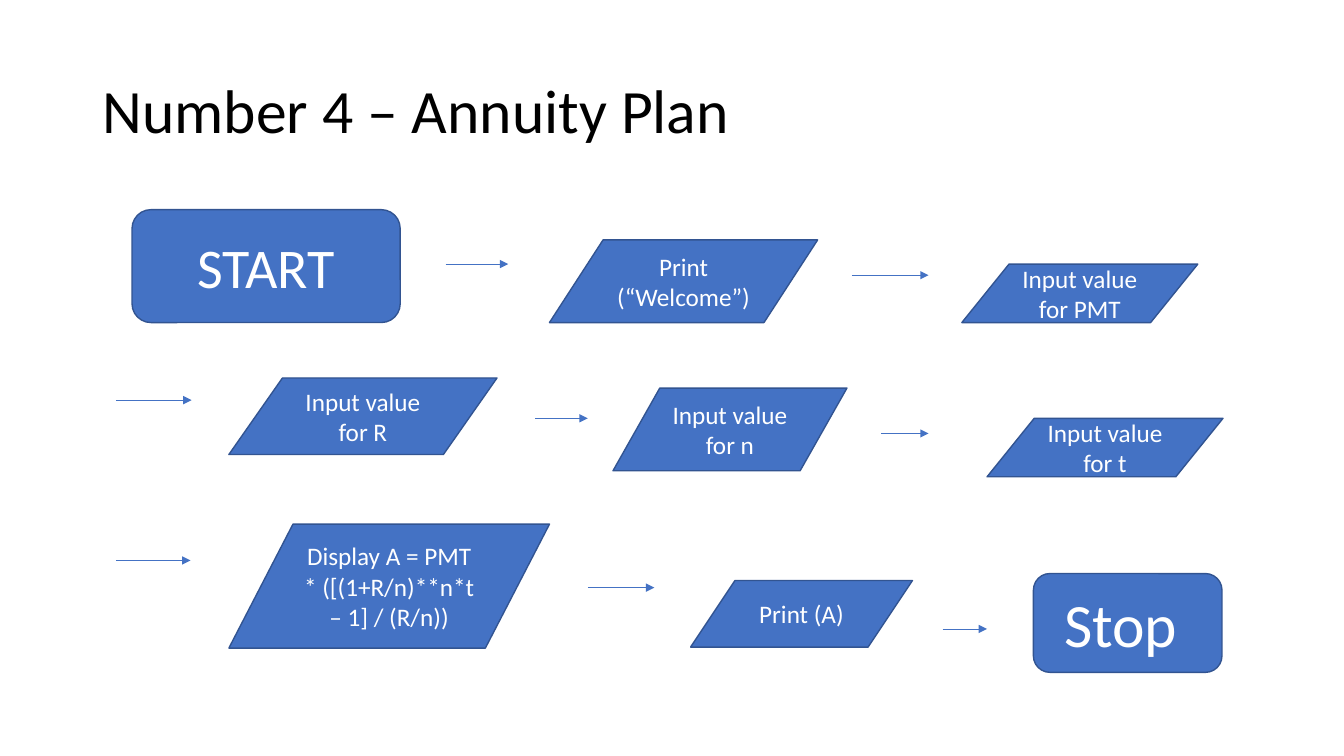
from lxml import etree
from pptx import Presentation
from pptx.dml.color import RGBColor
from pptx.enum.shapes import MSO_CONNECTOR, MSO_SHAPE
from pptx.enum.text import MSO_ANCHOR, PP_ALIGN
from pptx.oxml.ns import qn
from pptx.util import Inches, Pt

TERMINAL = MSO_SHAPE.FLOWCHART_ALTERNATE_PROCESS
INPUT_OUTPUT = MSO_SHAPE.FLOWCHART_DATA
STRAIGHT = MSO_CONNECTOR.STRAIGHT
MIDDLE = MSO_ANCHOR.MIDDLE
LEFT, CENTER = PP_ALIGN.LEFT, PP_ALIGN.CENTER

BLUE = RGBColor(0x44, 0x72, 0xC4)
DARK_BLUE = RGBColor(0x32, 0x54, 0x91)
WHITE = RGBColor(0xFF, 0xFF, 0xFF)
BLACK = RGBColor(0x00, 0x00, 0x00)

TITLE_BOX = (0.92, 0.4, 11.5, 1.45)
ROW_LEFT = 1.15

# Steps are (kind, x, y, width, height, text, size); arrows are (x, y, length).
ROWS = [
    (2.08, [
        (TERMINAL, 0.16, 0, 2.66, 1.12, "START", 40),
        (INPUT_OUTPUT, 4.3, 0.3, 2.66, 0.82, "Print (“Welcome”)", 18),
        (INPUT_OUTPUT, 8.39, 0.54, 2.34, 0.58, "Input value for PMT", 18),
    ], [(3.27, 0.54, 0.62), (7.3, 0.65, 0.76)]),
    (3.75, [
        (INPUT_OUTPUT, 1.12, 0, 2.66, 0.76, "Input value for R", 18),
        (INPUT_OUTPUT, 4.93, 0.1, 2.32, 0.82, "Input value for n", 18),
        (INPUT_OUTPUT, 8.64, 0.4, 2.34, 0.58, "Input value for t", 18),
    ], [(0, 0.22, 0.75), (4.16, 0.4, 0.52), (7.59, 0.55, 0.47)]),
    (5.2, [
        (INPUT_OUTPUT, 1.12, 0, 3.18, 1.23,
         "Display A = PMT * ([(1+R/n)**n*t – 1] / (R/n))", 18),
        (INPUT_OUTPUT, 5.7, 0.56, 2.2, 0.66, "Print (A)", 18),
        (TERMINAL, 9.1, 0.49, 1.87, 0.98, "Stop ", 44),
    ], [(0, 0.36, 0.74), (4.68, 0.63, 0.66), (8.2, 1.04, 0.44)]),
]


def set_attributes(target, values):
    """Set each named attribute of the target."""
    for name, value in values.items():
        setattr(target, name, value)


def write_text(shape, text, size, color, alignment, line_spacing=1.0):
    """Write one vertically centred paragraph in the shape."""
    frame = shape.text_frame
    set_attributes(frame, {"word_wrap": True, "vertical_anchor": MIDDLE})
    paragraph = frame.paragraphs[0]
    set_attributes(paragraph, {"alignment": alignment, "line_spacing": line_spacing})
    run = paragraph.add_run()
    run.text = text
    set_attributes(run.font, {"name": "Calibri", "size": Pt(size)})
    run.font.color.rgb = color


def draw_title(slide, box):
    """Place the slide title in its box."""
    title = slide.shapes.add_textbox(*map(Inches, box))
    write_text(title, "Number 4 – Annuity Plan", 44, BLACK, LEFT, 0.9)


def draw_step(slide, kind, box, text, size):
    """Place one flowchart step in its box."""
    step = slide.shapes.add_shape(kind, *map(Inches, box))
    step.shadow.inherit = False
    step.fill.solid()
    step.fill.fore_color.rgb = BLUE
    step.line.color.rgb = DARK_BLUE
    step.line.width = Pt(1)
    write_text(step, text, size, WHITE, CENTER)


def draw_arrow(slide, left, top, length):
    """Place a horizontal arrow pointing right."""
    ends = map(Inches, (left, top, left + length, top))
    arrow = slide.shapes.add_connector(STRAIGHT, *ends)
    arrow.line.color.rgb = BLUE
    arrow.line.width = Pt(0.5)
    properties = arrow.element.spPr
    etree.SubElement(properties.find(qn("a:ln")), qn("a:tailEnd"), type="triangle")
    etree.SubElement(properties, qn("a:effectLst"))


def draw_row(slide, left, top, steps, arrows):
    """Place a row of steps and arrows relative to its top left corner."""
    for kind, x, y, width, height, text, size in steps:
        draw_step(slide, kind, (left + x, top + y, width, height), text, size)
    for x, y, length in arrows:
        draw_arrow(slide, left + x, top + y, length)


def main():
    """Build and save the annuity flowchart slide."""
    presentation = Presentation()
    set_attributes(presentation, {"slide_width": Inches(13.33),
                                  "slide_height": Inches(7.5)})
    slide = presentation.slides.add_slide(presentation.slide_layouts[6])
    draw_title(slide, TITLE_BOX)
    for top, steps, arrows in ROWS:
        draw_row(slide, ROW_LEFT, top, steps, arrows)
    presentation.save("out.pptx")


if __name__ == "__main__":
    main()
